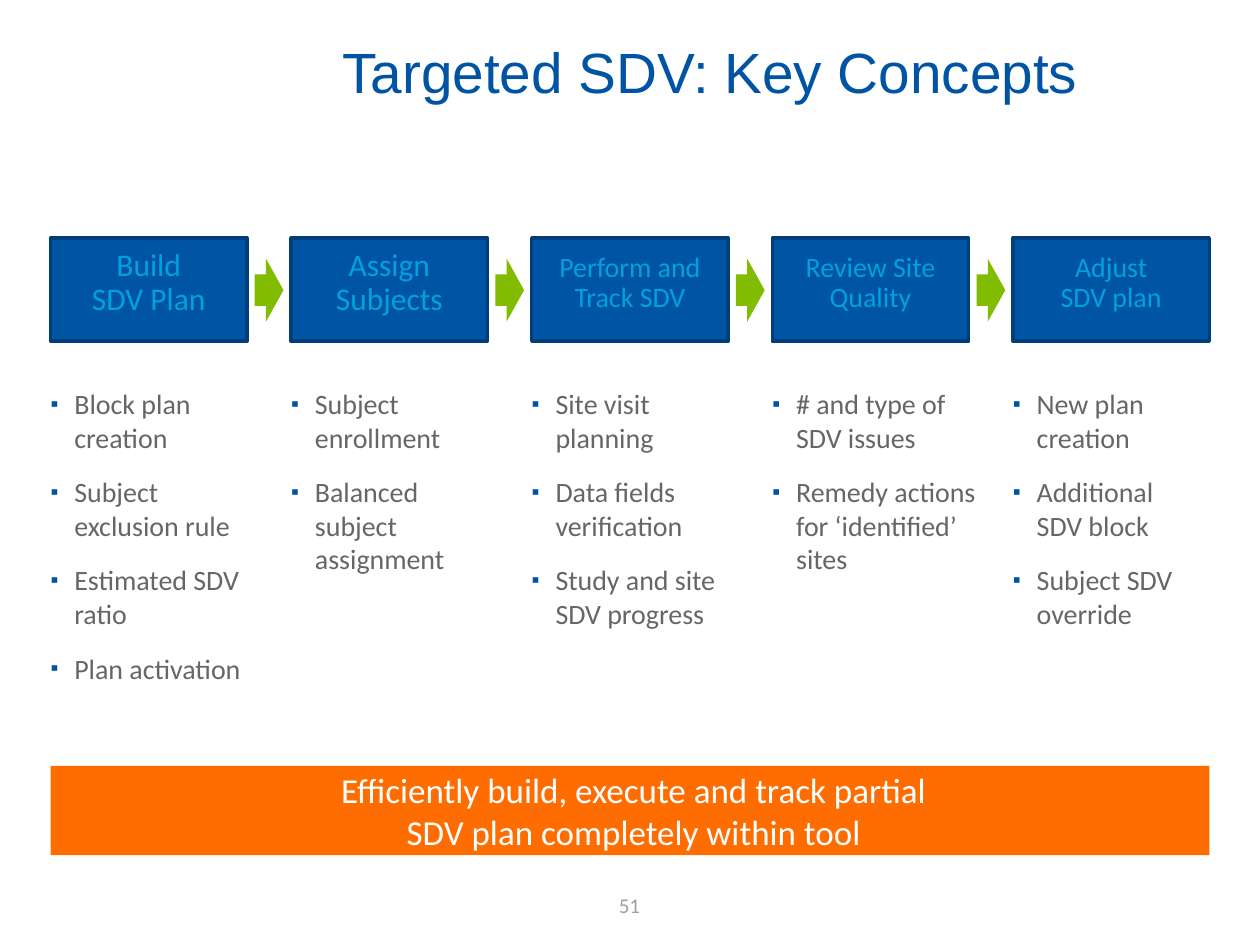
from lxml.etree import SubElement
from pptx import Presentation
from pptx.dml.color import RGBColor
from pptx.enum.shapes import MSO_SHAPE
from pptx.enum.text import MSO_ANCHOR, PP_ALIGN
from pptx.oxml.ns import qn
from pptx.util import Cm, Pt

# Content: heading, heading size, list width in cm, bullets
STEPS = [
    ("Build\nSDV Plan", "step_large", 4.17,
     ["Block plan creation", "Subject exclusion rule",
      "Estimated SDV ratio", "Plan activation"]),
    ("Assign\nSubjects", "step_large", 4.24,
     ["Subject enrollment", "Balanced subject assignment"]),
    ("Perform and Track SDV", "step_small", 3.96,
     ["Site visit planning", "Data fields verification",
      "Study and site SDV progress"]),
    ("Review Site Quality", "step_small", 4.17,
     ["# and type of SDV issues", "Remedy actions for ‘identified’ sites"]),
    ("Adjust\nSDV plan", "step_small", 3.58,
     ["New plan creation", "Additional SDV block", "Subject SDV override"]),
]
TITLE = "Targeted SDV: Key Concepts"
BANNER = "Efficiently build, execute and track partial\nSDV plan completely within tool"
PAGE_NUMBER = "51"

THEME = {
    "fill": {"step": "0054A4", "arrow": "81BC00", "banner": "FF6C00"},
    "outline": "003E79",
    "bullet": "0054A4",
    # Font name, size in points, colour
    "text": {
        "title": ("Arial", 32.4, "0054A3"),
        "step_large": ("Calibri", 18, "00A1E0"),
        "step_small": ("Calibri", 16, "00A1E0"),
        "list": ("Calibri", 16, "656668"),
        "banner": ("Calibri", 20, "FFFFFF"),
        "number": ("Calibri", 12, "9FA0A1"),
    },
}

# Text frame and paragraph formats
MIDDLE = {"word_wrap": True, "vertical_anchor": MSO_ANCHOR.MIDDLE}
STEP_FRAME = {**MIDDLE, "margin_left": Cm(0.25), "margin_right": Cm(0.25),
              "margin_top": Cm(0.25), "margin_bottom": Cm(0.51)}
LIST_FRAME = {"word_wrap": True, "vertical_anchor": MSO_ANCHOR.TOP,
              "margin_left": 0, "margin_right": 0}
TITLE_FRAME = {**MIDDLE, "margin_top": 0, "margin_bottom": Cm(1.22)}
CENTERED = {"alignment": PP_ALIGN.CENTER}
STEP_PARAGRAPH = {**CENTERED, "line_spacing": 0.9}
LIST_PARAGRAPH = {"alignment": PP_ALIGN.LEFT, "space_after": Pt(12)}

# Grid in cm
LEFT, PITCH = 1.02, 4.85
STEP_TOP, STEP_WIDTH, STEP_HEIGHT = 4.8, 3.96, 2.08
LIST_TOP, LIST_HEIGHT, INDENT = 7.67, 6.15, 0.48
ARROW_WIDTH, ARROW_HEIGHT, ARROW_CENTER = 1.27, 0.58, 5.85
BANNER_WIDTH = 4 * PITCH + STEP_WIDTH


def apply(target, values):
    for name, value in values.items():
        setattr(target, name, value)


def write(shape, lines, style, frame_format, paragraph_format):
    """Put one paragraph per line into the shape."""
    frame = shape.text_frame
    apply(frame, frame_format)
    name, size, color = THEME["text"][style]
    for index, line in enumerate(lines):
        paragraph = frame.add_paragraph() if index else frame.paragraphs[0]
        paragraph.text = line.replace("\n", "\v")
        apply(paragraph, paragraph_format)
        for run in paragraph.runs:
            apply(run.font, {"name": name, "size": Pt(size)})
            run.font.color.rgb = RGBColor.from_string(color)
    return frame


def add_box(slide, kind, place, fill):
    shape = slide.shapes.add_shape(kind, *map(Cm, place))
    shape.shadow.inherit = False
    shape.fill.solid()
    shape.fill.fore_color.rgb = RGBColor.from_string(THEME["fill"][fill])
    shape.line.fill.background()
    return shape


def add_text(slide, place, *text):
    return write(slide.shapes.add_textbox(*map(Cm, place)), *text)


def add_bullet(paragraph):
    properties = paragraph._p.get_or_add_pPr()
    properties.set("marL", str(Cm(INDENT)))
    properties.set("indent", str(-Cm(INDENT)))
    color = SubElement(properties, qn("a:buClr"))
    SubElement(color, qn("a:srgbClr"), val=THEME["bullet"])
    SubElement(properties, qn("a:buSzPct"), val="80000")
    SubElement(properties, qn("a:buFont"), typeface="Arial")
    SubElement(properties, qn("a:buChar"), char="▪")


def add_step(slide, left, heading, style, list_width, bullets):
    box = add_box(slide, MSO_SHAPE.RECTANGLE,
                  (left, STEP_TOP, STEP_WIDTH, STEP_HEIGHT), "step")
    box.line.color.rgb = RGBColor.from_string(THEME["outline"])
    box.line.width = Pt(2)
    write(box, [heading], style, STEP_FRAME, STEP_PARAGRAPH)
    frame = add_text(slide, (left, LIST_TOP, list_width, LIST_HEIGHT),
                     bullets, "list", LIST_FRAME, LIST_PARAGRAPH)
    for paragraph in frame.paragraphs:
        add_bullet(paragraph)


def add_arrow(slide, left):
    """Arrow centred in the gap to the right of a step."""
    center = left + STEP_WIDTH + (PITCH - STEP_WIDTH) / 2
    arrow = add_box(slide, MSO_SHAPE.UP_ARROW,
                    (center - ARROW_WIDTH / 2, ARROW_CENTER - ARROW_HEIGHT / 2,
                     ARROW_WIDTH, ARROW_HEIGHT), "arrow")
    arrow.rotation = 90
    arrow.adjustments[0] = 0.5
    arrow.adjustments[1] = 0.61


def main():
    presentation = Presentation()
    presentation.slide_width, presentation.slide_height = Cm(25.4), Cm(19.05)
    slide = presentation.slides.add_slide(presentation.slide_layouts[6])

    # Process steps with their lists and arrows
    for index, step in enumerate(STEPS):
        left = LEFT + index * PITCH
        add_step(slide, left, *step)
        if index < len(STEPS) - 1:
            add_arrow(slide, left)

    # Summary banner
    banner = add_box(slide, MSO_SHAPE.RECTANGLE,
                     (LEFT, 15.44, BANNER_WIDTH, 1.8), "banner")
    frame = write(banner, [BANNER], "banner", MIDDLE, CENTERED)
    frame.paragraphs[0]._p.get_or_add_pPr().set("marL", str(Cm(0.15)))

    # Page number and title
    add_text(slide, (9.73, 17.73, 5.92, 1.02),
             [PAGE_NUMBER], "number", MIDDLE, CENTERED)
    add_text(slide, (4.5, 1.32, 19.63, 1.42),
             [TITLE], "title", TITLE_FRAME, CENTERED)

    presentation.save("out.pptx")


if __name__ == "__main__":
    main()
